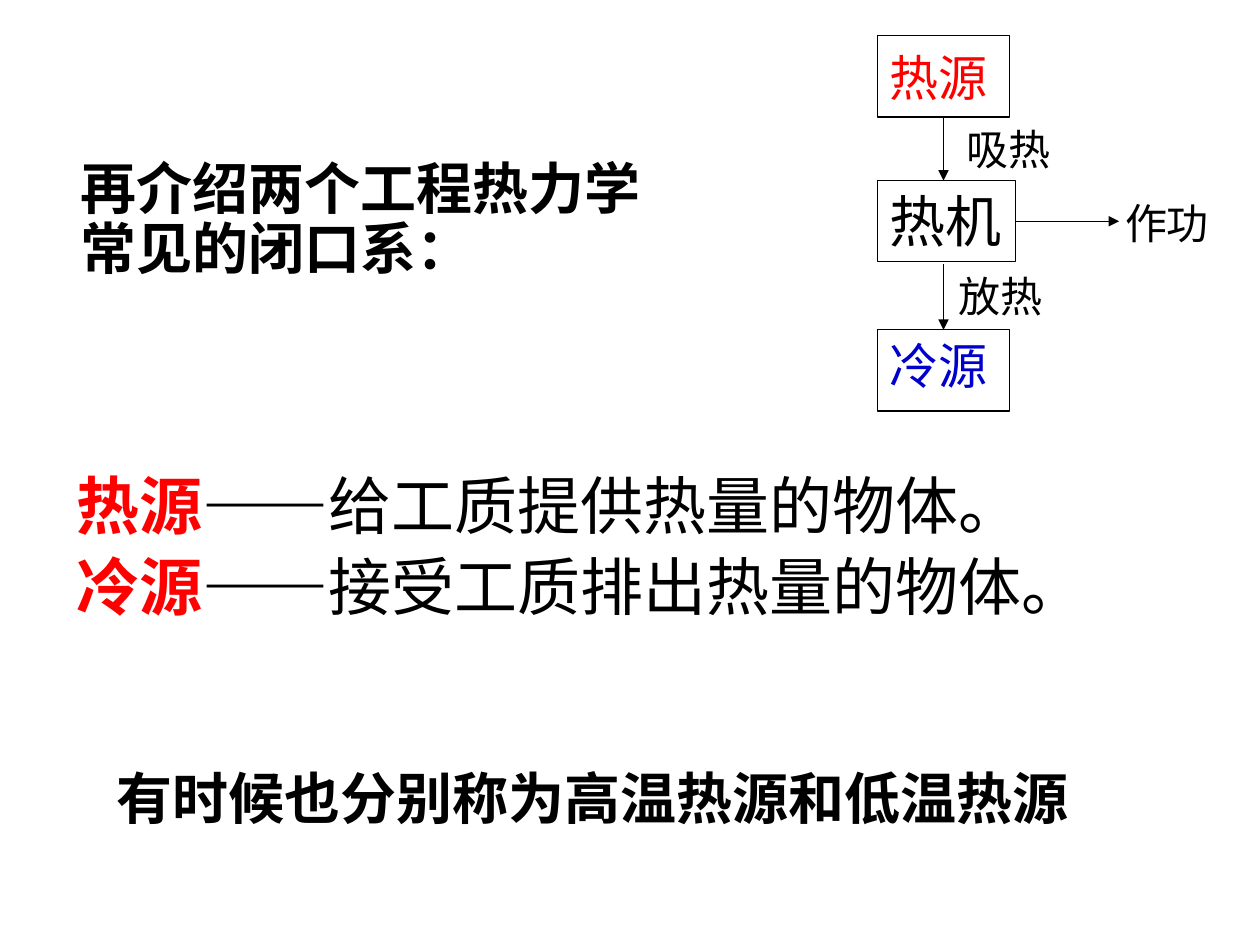
from dataclasses import dataclass

from lxml import etree
from pptx import Presentation
from pptx import util as u
from pptx.dml.color import RGBColor
from pptx.enum import shapes, text
from pptx.oxml import ns

COLORS = {"black": "000000", "red": "FF0000", "blue": "0000CC"}
CHINESE_FONT = "Noto Sans CJK SC"
BOX_LEFT = 17.69
BOX_HEIGHT = 1.64
SOURCE_WIDTH = 2.66
SOURCE_MIDDLE = BOX_LEFT + SOURCE_WIDTH / 2


@dataclass
class Label:
    content: str
    left: float
    top: float
    width: float
    height: float
    size: int
    font: str
    color: str = "black"
    bold: bool = False
    wrap: bool = True
    anchor: text.MSO_ANCHOR = text.MSO_ANCHOR.TOP


@dataclass
class Definition:
    term: str
    meaning: str


ENGINE = Label("热机", BOX_LEFT, 3.64, 2.79, BOX_HEIGHT, 32, "Lato", wrap=False)
LABELS = [
    Label("作功", 22.43, 3.86, 2.95, 1.27, 24, "Lato"),
    Label("吸热", 19.23, 2.36, 2.97, 1.27, 24, "Lato"),
    Label("放热", 19.08, 5.33, 2.97, 1.27, 24, "Lato"),
    Label("热源", 17.68, 0.84, 2.49, 1.45, 28, "Arial", "red", wrap=False),
    Label("冷源", 17.68, 6.63, 2.49, 1.45, 28, "Arial", "blue", wrap=False),
    Label("有时候也分别称为高温热源和低温热源", 2.1, 13.77, 20.98, 4.6, 32, "Arial",
          bold=True, anchor=text.MSO_ANCHOR.MIDDLE),
]
DEFINITIONS = [
    Definition("热源", "给工质提供热量的物体。"),
    Definition("冷源", "接受工质排出热量的物体。"),
]


def place(shape, left: float, top: float, width: float, height: float) -> None:
    shape.left, shape.top = u.Cm(left), u.Cm(top)
    shape.width, shape.height = u.Cm(width), u.Cm(height)


def format_run(run, size: int, font: str, color: str, bold: bool) -> None:
    run.font.size = u.Pt(size)
    run.font.name = font
    run.font.bold = bold
    run.font.color.rgb = RGBColor.from_string(COLORS[color])
    latin = run.font._element.find(ns.qn("a:latin"))
    latin.addnext(etree.Element(ns.qn("a:ea"), typeface=CHINESE_FONT))


def fill_title(slide) -> None:
    title = slide.shapes.title
    place(title, 1.37, 2.16, 12.7, 4.6)
    frame = title.text_frame
    frame.text = "再介绍两个工程热力学常见的闭口系："
    frame.auto_size = text.MSO_AUTO_SIZE.NONE
    frame.vertical_anchor = text.MSO_ANCHOR.MIDDLE
    paragraph = frame.paragraphs[0]
    paragraph.alignment = text.PP_ALIGN.LEFT
    paragraph.line_spacing = 0.9
    format_run(paragraph.runs[0], 32, CHINESE_FONT, "black", True)


def fill_definitions(slide) -> None:
    body = slide.placeholders[1]
    place(body, 1.28, 9.45, 22.81, 7.8)
    frame = body.text_frame
    frame.auto_size = text.MSO_AUTO_SIZE.NONE
    for index, definition in enumerate(DEFINITIONS):
        paragraph = frame.add_paragraph() if index else frame.paragraphs[0]
        paragraph.line_spacing = 0.9
        paragraph.space_before = u.Pt(7.5 if index else 0)
        properties = paragraph._p.get_or_add_pPr()
        properties.set("marL", str(u.Cm(0.48)))
        properties.set("indent", str(-u.Cm(0.48)))
        etree.SubElement(properties, ns.qn("a:buNone"))
        parts = [(definition.term, "red", True), ("——", "black", True),
                 (definition.meaning, "black", False)]
        for content, color, bold in parts:
            run = paragraph.add_run()
            run.text = content
            format_run(run, 36, CHINESE_FONT, color, bold)


def draw_box(slide, top: float, width: float):
    shape = slide.shapes.add_shape(
        shapes.MSO_SHAPE.RECTANGLE,
        u.Cm(BOX_LEFT), u.Cm(top), u.Cm(width), u.Cm(BOX_HEIGHT))
    shape.shadow.inherit = False
    shape.fill.background()
    shape.line.color.rgb = RGBColor.from_string(COLORS["black"])
    shape.line.width = u.Pt(0.75)
    return shape


def draw_arrow(slide, begin_x: float, begin_y: float, end_x: float, end_y: float):
    arrow = slide.shapes.add_connector(
        shapes.MSO_CONNECTOR.STRAIGHT,
        u.Cm(begin_x), u.Cm(begin_y), u.Cm(end_x), u.Cm(end_y))
    arrow.line.color.rgb = RGBColor.from_string(COLORS["black"])
    arrow.line.width = u.Pt(0.75)
    etree.SubElement(arrow.line._get_or_add_ln(), ns.qn("a:tailEnd"), type="triangle")
    etree.SubElement(arrow._element.spPr, ns.qn("a:effectLst"))
    return arrow


def write_label(shape, label: Label) -> None:
    frame = shape.text_frame
    frame.text = label.content
    frame.word_wrap = label.wrap
    frame.vertical_anchor = label.anchor
    paragraph = frame.paragraphs[0]
    paragraph.alignment = text.PP_ALIGN.LEFT
    format_run(paragraph.runs[0], label.size, label.font, label.color, label.bold)


def draw_label(slide, label: Label) -> None:
    shape = slide.shapes.add_textbox(
        u.Cm(label.left), u.Cm(label.top), u.Cm(label.width), u.Cm(label.height))
    write_label(shape, label)


def main() -> None:
    presentation = Presentation()
    presentation.slide_width, presentation.slide_height = u.Cm(25.4), u.Cm(19.05)
    slide = presentation.slides.add_slide(presentation.slide_layouts[1])
    fill_title(slide)
    fill_definitions(slide)
    heat_source = draw_box(slide, 0.72, SOURCE_WIDTH)
    cold_source = draw_box(slide, 6.65, SOURCE_WIDTH)
    engine = draw_box(slide, ENGINE.top, ENGINE.width)
    write_label(engine, ENGINE)
    absorb = draw_arrow(slide, SOURCE_MIDDLE, 2.36, SOURCE_MIDDLE, ENGINE.top)
    absorb.begin_connect(heat_source, 2)
    release = draw_arrow(slide, SOURCE_MIDDLE, 5.33, SOURCE_MIDDLE, 6.65)
    release.end_connect(cold_source, 0)
    engine_middle = ENGINE.top + BOX_HEIGHT / 2
    work = draw_arrow(slide, BOX_LEFT + ENGINE.width, engine_middle, 22.56, engine_middle)
    work.begin_connect(engine, 3)
    for label in LABELS:
        draw_label(slide, label)
    presentation.save("out.pptx")


if __name__ == "__main__":
    main()
